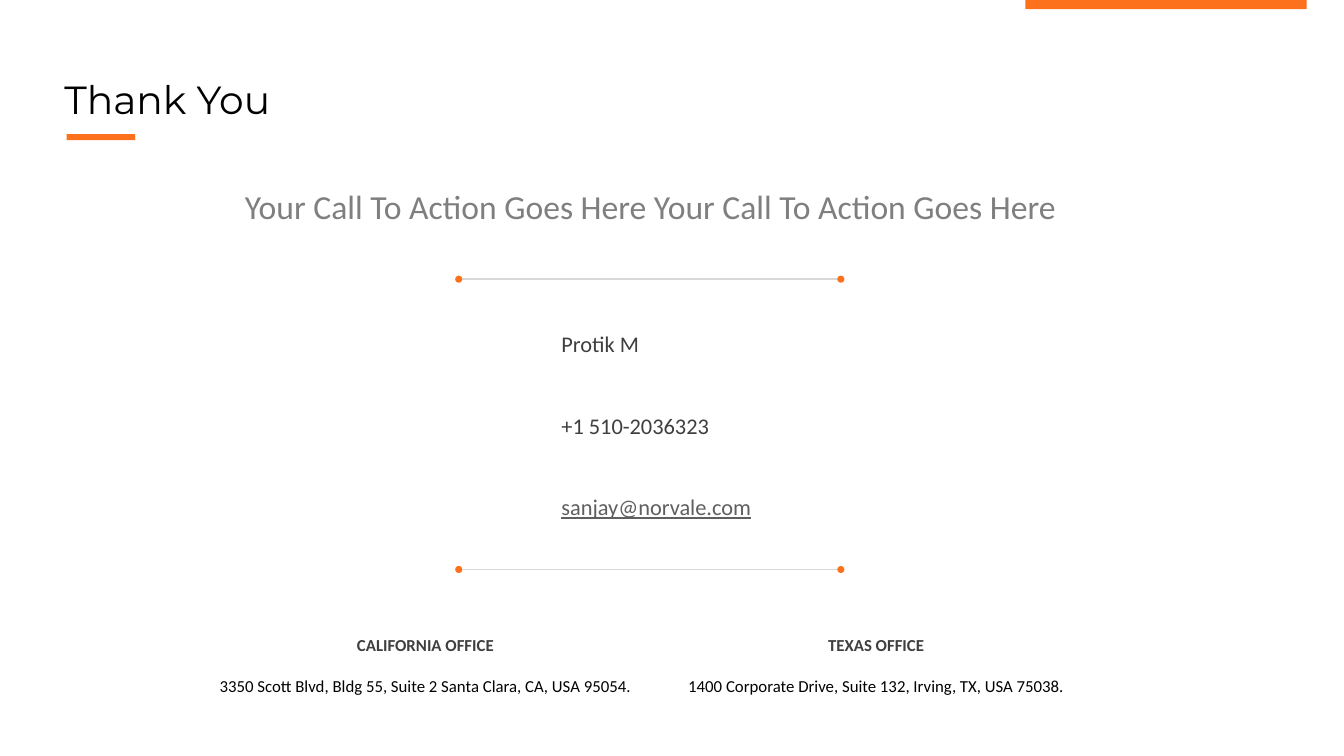
from lxml import etree
from pptx import Presentation
from pptx.dml.color import RGBColor
from pptx.enum.shapes import MSO_CONNECTOR, MSO_SHAPE
from pptx.enum.text import MSO_ANCHOR, PP_ALIGN
from pptx.oxml.ns import qn
from pptx.util import Inches, Pt

RECT, OVAL = MSO_SHAPE.RECTANGLE, MSO_SHAPE.OVAL
STRAIGHT = MSO_CONNECTOR.STRAIGHT
LEFT, CENTER = PP_ALIGN.LEFT, PP_ALIGN.CENTER
TOP, MIDDLE = MSO_ANCHOR.TOP, MSO_ANCHOR.MIDDLE

ORANGE = RGBColor(0xFD, 0x71, 0x1C)
BLACK = RGBColor(0, 0, 0)
DARK = RGBColor(0x3F, 0x3F, 0x3F)
SLATE = RGBColor(0x5F, 0x5F, 0x5F)
GRAY = RGBColor(0x7F, 0x7F, 0x7F)
PALE = RGBColor(0xD8, 0xD8, 0xD8)

TITLE = "Thank You"
ACTION = "Your Call To Action Goes Here Your Call To Action Goes Here"
CONTACT = [("Protik M", DARK), ("+1 510-2036323", DARK), ("sanjay@norvale.com", SLATE)]
OFFICES = [
    ("CALIFORNIA OFFICE", "3350 Scott Blvd, Bldg 55, Suite 2 Santa Clara, CA, USA 95054."),
    ("TEXAS OFFICE", "1400 Corporate Drive, Suite 132, Irving, TX, USA 75038."),
]

WIDE, HIGH = 13.33, 7.5
BARS = [(10.17, 0, 2.79, 0.09), (0.66, 1.33, 0.68, 0.06)]
RULES = [2.77, 5.65]
ENDS = (4.55, 8.34)
DOT = 0.07
OFFICE_X, OFFICE_Y, OFFICE_W, OFFICE_STEP = 1.05, 6.25, 6.34, 4.47
LINE = 1.22  # line height of Calibri as a share of its size


def add_solid(slide, kind, box, color):
    shape = slide.shapes.add_shape(kind, *map(Inches, box))
    shape.shadow.inherit = False
    shape.fill.solid()
    shape.fill.fore_color.rgb = color
    shape.line.fill.background()


def add_text(slide, box, lines, size, font="Calibri", align=CENTER, anchor=TOP, gap=0):
    """Write (text, color) lines, parted by a gap counted in line heights."""
    frame = slide.shapes.add_textbox(*map(Inches, box)).text_frame
    frame.word_wrap = True
    frame.vertical_anchor = anchor
    frame.text = "\n".join(text for text, _ in lines)
    for i, (para, (_, color)) in enumerate(zip(frame.paragraphs, lines)):
        para.alignment = align
        if i:
            para.space_before = Pt(round(gap * size * LINE, 1))
        face = para.runs[0].font
        face.name, face.size, face.color.rgb = font, Pt(size), color
    return frame.paragraphs


def add_rule(slide, y):
    """Draw a pale line with a dot at each end."""
    left, right = ENDS
    line = slide.shapes.add_connector(STRAIGHT, *map(Inches, (left, y, right, y)))
    line.line.color.rgb = PALE
    line.line.width = Pt(1)
    etree.SubElement(line._element.spPr, qn("a:effectLst"))
    for x in ENDS:
        add_solid(slide, OVAL, (x - DOT / 2, y - DOT / 2, DOT, DOT), ORANGE)


def main():
    deck = Presentation()
    deck.slide_width, deck.slide_height = Inches(WIDE), Inches(HIGH)
    slide = deck.slides.add_slide(deck.slide_layouts[6])

    for bar in BARS:
        add_solid(slide, RECT, bar, ORANGE)
    title = add_text(slide, (0.54, 0.65, 10.57, 0.71), [(TITLE, BLACK)], 28,
                     "Montserrat", LEFT, MIDDLE)
    title[0].line_spacing = 0.9
    add_text(slide, (2.19, 1.79, 8.52, 0.91), [(ACTION, GRAY)], 24)

    for y in RULES:
        add_rule(slide, y)
    contact = add_text(slide, (5.47, 3.23, 2.89, 2.52), CONTACT, 16, align=LEFT, gap=2)
    contact[-1].runs[0].font.underline = True

    for i, (name, place) in enumerate(OFFICES):
        box = (OFFICE_X + i * OFFICE_STEP, OFFICE_Y, OFFICE_W, 0.71)
        office = add_text(slide, box, [(name, DARK), (place, BLACK)], 12, gap=1)
        office[0].runs[0].font.bold = True

    deck.save("out.pptx")


if __name__ == "__main__":
    main()
